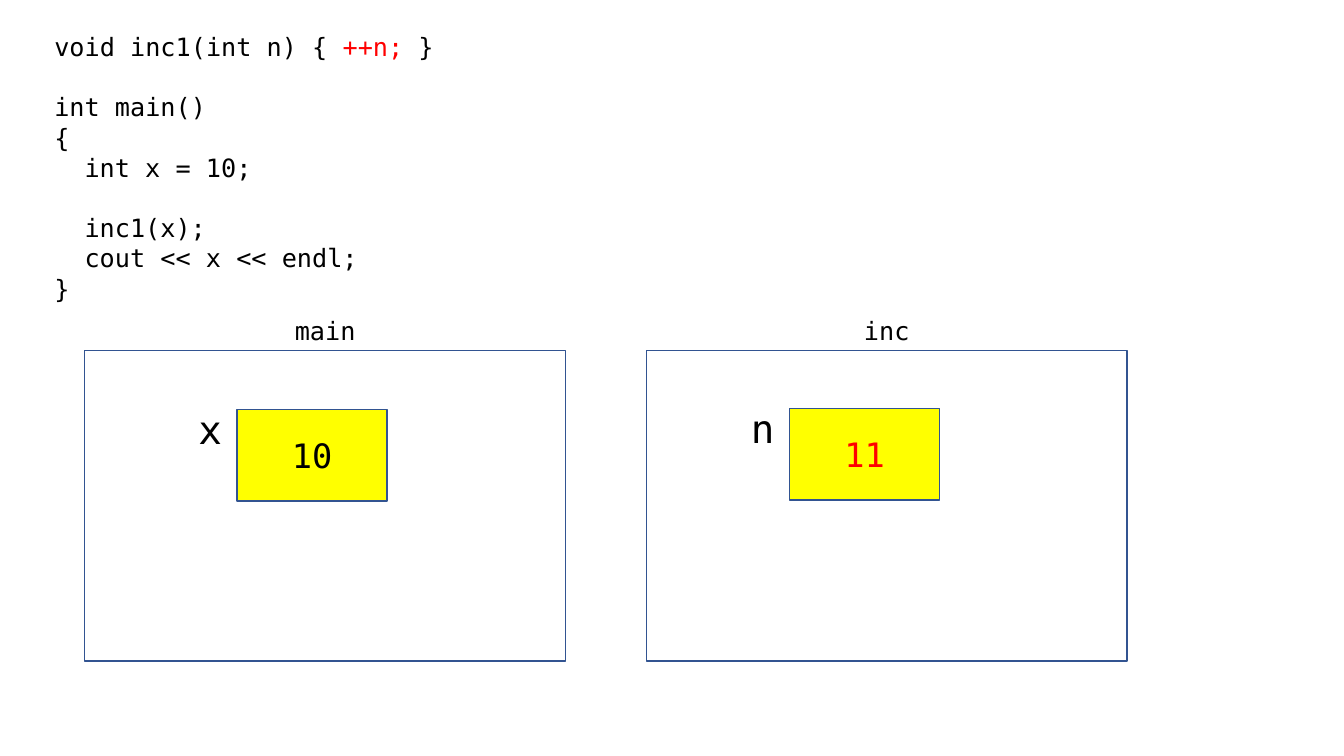
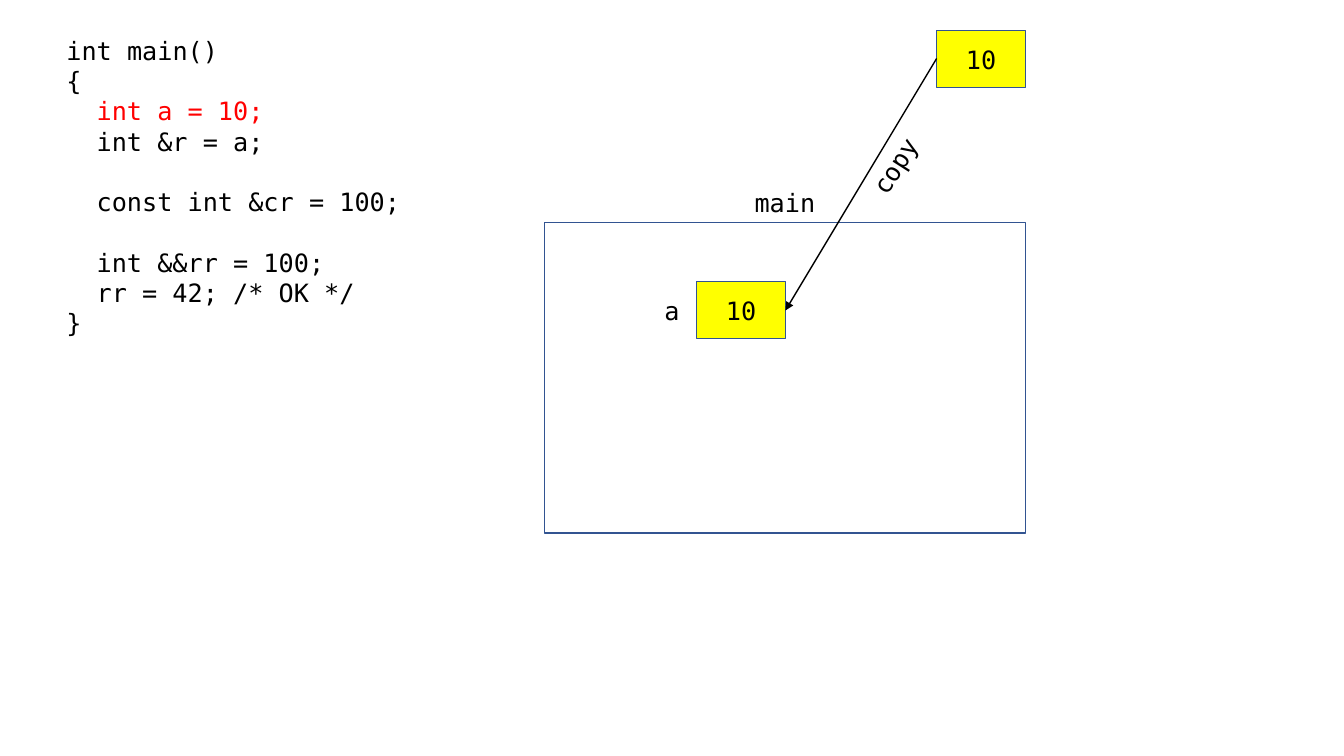
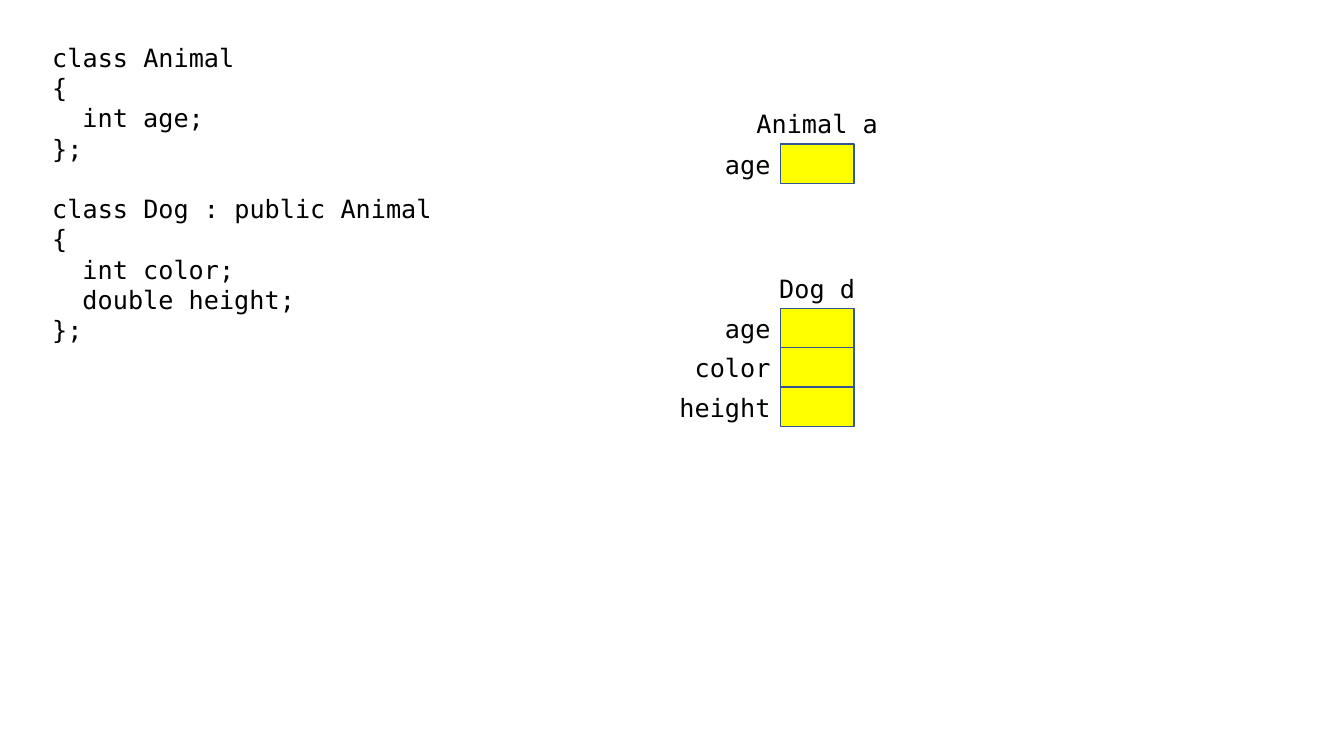
from pptx import Presentation
from pptx.dml.color import RGBColor
from pptx.enum.shapes import MSO_CONNECTOR, MSO_SHAPE
from pptx.enum.text import MSO_ANCHOR, MSO_AUTO_SIZE, PP_ALIGN
from pptx.oxml.ns import qn
from pptx.util import Inches, Pt
from lxml import etree

BLACK = RGBColor(0x00, 0x00, 0x00)
RED = RGBColor(0xFF, 0x00, 0x00)
WHITE = RGBColor(0xFF, 0xFF, 0xFF)
YELLOW = RGBColor(0xFF, 0xFF, 0x00)
BLUE = RGBColor(0x32, 0x54, 0x91)

RECTANGLE = MSO_SHAPE.RECTANGLE
STRAIGHT = MSO_CONNECTOR.STRAIGHT
MIDDLE = MSO_ANCHOR.MIDDLE
GROW = MSO_AUTO_SIZE.SHAPE_TO_FIT_TEXT
LEFT, CENTER, RIGHT = PP_ALIGN.LEFT, PP_ALIGN.CENTER, PP_ALIGN.RIGHT

FONT = "DejaVu Sans Mono"
CODE_SIZE = 18
LINE_HEIGHT = Pt(21.6)
INDENT = Inches(0.3)
LABEL_HEIGHT = 0.4
FRAME_WIDTH, FRAME_HEIGHT = 4.77, 3.08

INCREMENT_CODE = """void inc1(int n) { ++n; }

int main()
{
  int x = 10;

  inc1(x);
  cout << x << endl;
}"""

REFERENCE_CODE = """int main()
{
  int a = 10;
  int &r = a;

  const int &cr = 100;

  int &&rr = 100;
  rr = 42; /* OK */
}"""

CLASS_CODE = """class Animal
{
  int age;
};

class Dog : public Animal
{
  int color;
  double height;
};"""


class MemoryDeck:
    """Slides that pair a code listing with a drawing of its memory."""

    def __init__(self):
        self.presentation = Presentation()
        self.presentation.slide_width = Inches(13.33)
        self.presentation.slide_height = Inches(7.5)
        self.slide = None

    def new_slide(self):
        self.slide = self.presentation.slides.add_slide(
            self.presentation.slide_layouts[6])

    def styled_run(self, paragraph, text, size=CODE_SIZE, color=BLACK):
        run = paragraph.add_run()
        run.text = text
        run.font.name = FONT
        run.font.size = Pt(size)
        run.font.color.rgb = color

    def text_box(self, left, top, width, height):
        box = self.slide.shapes.add_textbox(
            Inches(left), Inches(top), Inches(width), Inches(height))
        box.text_frame.word_wrap = True
        box.text_frame.auto_size = GROW
        return box

    def code(self, listing, left, top, width, height, highlight=None):
        frame = self.text_box(left, top, width, height).text_frame
        paragraph, gap = None, False
        for line in listing.splitlines():
            if not line:
                gap = True
                continue
            paragraph = frame.add_paragraph() if paragraph else frame.paragraphs[0]
            if gap:
                paragraph.space_before = LINE_HEIGHT
                gap = False
            if line.startswith(" "):
                paragraph._p.get_or_add_pPr().set("marL", str(INDENT))
            statement = line.strip()
            parts = statement.partition(highlight) if highlight else (statement,)
            for part in filter(None, parts):
                self.styled_run(paragraph, part, color=RED if part == highlight else BLACK)

    def label(self, text, left, top, width, height=LABEL_HEIGHT,
              size=CODE_SIZE, align=LEFT, rotation=0):
        box = self.text_box(left, top, width, height)
        box.rotation = rotation
        paragraph = box.text_frame.paragraphs[0]
        paragraph.alignment = align
        self.styled_run(paragraph, text, size)

    def caption(self, text, center, bottom, width=1.06):
        self.label(text, center - width / 2, bottom - LABEL_HEIGHT, width, align=CENTER)

    def box(self, left, top, width, height, fill):
        shape = self.slide.shapes.add_shape(
            RECTANGLE, Inches(left), Inches(top), Inches(width), Inches(height))
        shape.shadow.inherit = False
        shape.fill.solid()
        shape.fill.fore_color.rgb = fill
        shape.line.color.rgb = BLUE
        shape.line.width = Pt(1)
        return shape

    def stack_frame(self, function, left, top):
        self.box(left, top, FRAME_WIDTH, FRAME_HEIGHT, WHITE)
        self.caption(function, left + FRAME_WIDTH / 2, top)

    def cell(self, value, left, top, width=0.88, height=0.57,
             size=CODE_SIZE, color=BLACK):
        frame = self.box(left, top, width, height, YELLOW).text_frame
        frame.vertical_anchor = MIDDLE
        frame.paragraphs[0].alignment = CENTER
        self.styled_run(frame.paragraphs[0], value, size, color)

    def record(self, title, fields, top, left=7.74, width=0.73, row=0.39):
        self.caption(title, left + width / 2, top, 1.93)
        for index, field in enumerate(fields):
            row_top = top + index * row
            self.box(left, row_top, width, row, YELLOW)
            self.label(field, left - 1.12, row_top, 1.12, align=RIGHT)

    def arrow(self, start, end):
        connector = self.slide.shapes.add_connector(
            STRAIGHT, *(Inches(length) for length in (*start, *end)))
        connector.line.color.rgb = BLACK
        connector.line.width = Pt(1)
        properties = connector._element.spPr
        etree.SubElement(properties.find(qn("a:ln")), qn("a:tailEnd"), type="triangle")
        etree.SubElement(properties, qn("a:effectLst"))


deck = MemoryDeck()

deck.new_slide()
deck.code(INCREMENT_CODE, 0.44, 0.26, 6.67, 2.83, highlight="++n;")
for function, frame_left, variable, value, cell_left, cell_top, color in (
        ("main", 0.84, "x", "10", 2.35, 4.06, BLACK),
        ("inc", 6.41, "n", "11", 7.83, 4.05, RED)):
    deck.stack_frame(function, frame_left, 3.48)
    deck.cell(value, cell_left, cell_top, 1.49, 0.91, 24, color)
    deck.label(variable, cell_left - 0.48, cell_top - 0.09, 0.42, 0.57, 28)

deck.new_slide()
deck.code(REFERENCE_CODE, 0.56, 0.3, 6.67, 3.13, highlight="int a = 10;")
deck.stack_frame("main", 5.4, 2.21)
deck.cell("10", 6.91, 2.79)
deck.label("a", 6.49, 2.88, 0.42)
deck.cell("10", 9.29, 0.3)
deck.arrow((9.29, 0.58), (7.79, 3.08))
deck.label("copy", 8.46, 1.42, 0.86, rotation=302.5)

deck.new_slide()
deck.code(CLASS_CODE, 0.42, 0.37, 4.37, 3.13)
deck.record("Animal a", ["age"], 1.43)
deck.record("Dog d", ["age", "color", "height"], 3.06)

deck.presentation.save("out.pptx")
